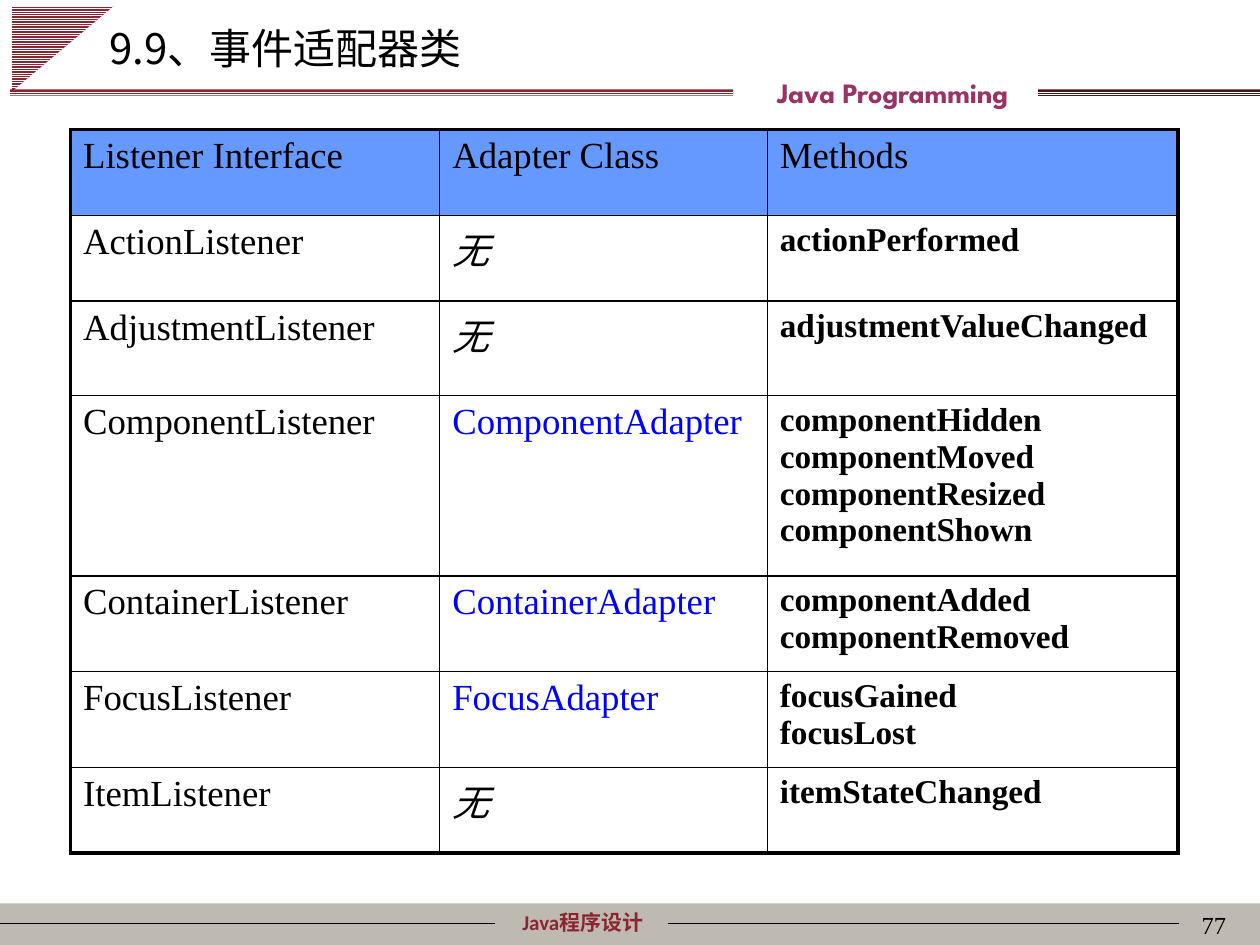
from dataclasses import dataclass

from pptx import Presentation
from pptx.dml.color import RGBColor
from pptx.enum import dml, shapes, text
from pptx.oxml.ns import qn
from pptx.util import Inches, Pt
from lxml import etree

BLACK = RGBColor(0x00, 0x00, 0x00)
WHITE = RGBColor(0xFF, 0xFF, 0xFF)
BLUE = RGBColor(0x00, 0x00, 0xFF)
HEADER_BLUE = RGBColor(0x66, 0x99, 0xFF)
CRIMSON = RGBColor(0x8C, 0x25, 0x32)
DARK_RED = RGBColor(0x4C, 0x14, 0x1B)
PLUM = RGBColor(0x99, 0x33, 0x66)
FOOTER_GREY = RGBColor(0xBF, 0xBA, 0xB1)
SERIF = "Times New Roman"
CJK = "Noto Sans CJK SC"
NONE_TEXT = "无"
COLUMN_WIDTHS = (2.93, 2.6, 3.26)
THIN, THICK = 1, 2.25


@dataclass(frozen=True)
class Box:
    left: float
    top: float
    width: float
    height: float

    def lengths(self) -> tuple:
        return tuple(Inches(v) for v in (self.left, self.top, self.width, self.height))


@dataclass(frozen=True)
class Style:
    size: float
    font: str = SERIF
    color: RGBColor = BLACK
    bold: bool = False
    italic: bool = False


@dataclass(frozen=True)
class Label:
    box: Box
    wording: str
    style: Style
    align: text.PP_ALIGN
    anchor: text.MSO_ANCHOR = text.MSO_ANCHOR.TOP


@dataclass(frozen=True)
class Stripes:
    box: Box
    color: RGBColor
    preset: shapes.MSO_SHAPE = shapes.MSO_SHAPE.RECTANGLE
    rotation: float = 0


@dataclass(frozen=True)
class ListenerRow:
    height: float
    listener: str
    adapter: str
    methods: tuple[str, ...]


LABELS = (
    Label(Box(3.62, 7.17, 2.01, 0.3), "Java程序设计",
          Style(12, "Calibri", CRIMSON, bold=True),
          text.PP_ALIGN.CENTER, text.MSO_ANCHOR.MIDDLE),
    Label(Box(5.08, 0.55, 4.01, 0.37), "Java Programming",
          Style(16, "League Spartan", PLUM, bold=True), text.PP_ALIGN.CENTER),
    Label(Box(7.75, 7.17, 2.08, 0.5), "77", Style(14), text.PP_ALIGN.RIGHT),
    Label(Box(0.77, 0.13, 8.5, 0.5), "9.9、事件适配器类", Style(24, CJK),
          text.PP_ALIGN.LEFT, text.MSO_ANCHOR.MIDDLE),
)
STRIPES = (
    Stripes(Box(0.16, -0.02, 0.68, 0.81), CRIMSON, shapes.MSO_SHAPE.RIGHT_TRIANGLE, 90),
    Stripes(Box(8.24, 0.71, 1.76, 0.06), DARK_RED),
    Stripes(Box(0.08, 0.71, 5.74, 0.05), CRIMSON),
)
ROWS = (
    ListenerRow(0.68, "Listener Interface", "Adapter Class", ("Methods",)),
    ListenerRow(0.68, "ActionListener", NONE_TEXT, ("actionPerformed",)),
    ListenerRow(0.75, "AdjustmentListener", NONE_TEXT, ("adjustmentValueChanged",)),
    ListenerRow(1.43, "ComponentListener", "ComponentAdapter",
                ("componentHidden ", "componentMoved ", "componentResized ", "componentShown")),
    ListenerRow(0.76, "ContainerListener", "ContainerAdapter",
                ("componentAdded ", "componentRemoved")),
    ListenerRow(0.76, "FocusListener", "FocusAdapter", ("focusGained ", "focusLost")),
    ListenerRow(0.68, "ItemListener", NONE_TEXT, ("itemStateChanged",)),
)


def add_run(paragraph, wording: str, style: Style) -> None:
    run = paragraph.add_run()
    run.text = wording
    font = run.font
    font.name, font.size = style.font, Pt(style.size)
    font.bold, font.italic = style.bold, style.italic
    font.color.rgb = style.color
    east_asian = etree.SubElement(font._element, qn("a:ea"))
    east_asian.set("typeface", CJK)


def add_label(slide, label: Label) -> None:
    frame = slide.shapes.add_textbox(*label.box.lengths()).text_frame
    frame.word_wrap = True
    frame.vertical_anchor = label.anchor
    paragraph = frame.paragraphs[0]
    paragraph.alignment = label.align
    add_run(paragraph, label.wording, label.style)


def add_plain_shape(slide, preset: shapes.MSO_SHAPE, box: Box):
    shape = slide.shapes.add_shape(preset, *box.lengths())
    shape.shadow.inherit = False
    shape.line.fill.background()
    return shape


def add_stripes(slide, stripes: Stripes) -> None:
    shape = add_plain_shape(slide, stripes.preset, stripes.box)
    shape.rotation = stripes.rotation
    shape.fill.patterned()
    shape.fill.pattern = dml.MSO_PATTERN.LIGHT_HORIZONTAL
    shape.fill.fore_color.rgb = WHITE
    shape.fill.back_color.rgb = stripes.color


def add_footer_line(slide, start: float, end: float) -> None:
    y = Inches(7.33)
    line = slide.shapes.add_connector(
        shapes.MSO_CONNECTOR.STRAIGHT, Inches(start), y, Inches(end), y)
    line.line.color.rgb = BLACK
    line.line.width = Pt(0.75)
    etree.SubElement(line._element.spPr, qn("a:effectLst"))


def set_borders(cell, widths: dict[str, float]) -> None:
    """Put the border lines ahead of the cell's fill, as the schema orders them."""
    properties = cell._tc.get_or_add_tcPr()
    for index, (side, width) in enumerate(widths.items()):
        line = etree.Element(qn(f"a:ln{side}"), w=str(Pt(width)))
        fill = etree.SubElement(line, qn("a:solidFill"))
        etree.SubElement(fill, qn("a:srgbClr"), val=str(BLACK))
        properties.insert(index, line)


def cell_style(row: int, column: int, wording: str) -> Style:
    if row == 0 or column == 0:
        return Style(21)
    if column == 2:
        return Style(19, bold=True)
    if wording == NONE_TEXT:
        return Style(21, italic=True)
    return Style(21, color=BLUE)


def add_listener_table(slide) -> None:
    box = Box(0.56, 1.03, sum(COLUMN_WIDTHS), sum(row.height for row in ROWS))
    last_row, last_column = len(ROWS) - 1, len(COLUMN_WIDTHS) - 1
    table = slide.shapes.add_table(last_row + 1, last_column + 1, *box.lengths()).table
    table.first_row = table.horz_banding = False
    for column, width in zip(table.columns, COLUMN_WIDTHS):
        column.width = Inches(width)
    for r, row in enumerate(ROWS):
        table.rows[r].height = Inches(row.height)
        for c, lines in enumerate(((row.listener,), (row.adapter,), row.methods)):
            cell = table.cell(r, c)
            if r == 0:
                cell.fill.solid()
                cell.fill.fore_color.rgb = HEADER_BLUE
            else:
                cell.fill.background()
            paragraph = cell.text_frame.paragraphs[0]
            for index, line in enumerate(lines):
                if index:
                    paragraph.add_line_break()
                add_run(paragraph, line, cell_style(r, c, line))
            outer = {"L": c == 0, "R": c == last_column, "T": r == 0, "B": r == last_row}
            set_borders(cell, {side: THICK if edge else THIN for side, edge in outer.items()})


def main() -> None:
    presentation = Presentation()
    presentation.slide_width, presentation.slide_height = Inches(10), Inches(7.5)
    slide = presentation.slides.add_slide(presentation.slide_layouts[6])
    footer = add_plain_shape(slide, shapes.MSO_SHAPE.RECTANGLE, Box(0, 7.17, 10, 0.33))
    footer.fill.solid()
    footer.fill.fore_color.rgb = FOOTER_GREY
    for start, end in ((0, 3.93), (5.3, 9.36)):
        add_footer_line(slide, start, end)
    for stripes in STRIPES:
        add_stripes(slide, stripes)
    for label in LABELS:
        add_label(slide, label)
    add_listener_table(slide)
    presentation.save("out.pptx")


if __name__ == "__main__":
    main()
